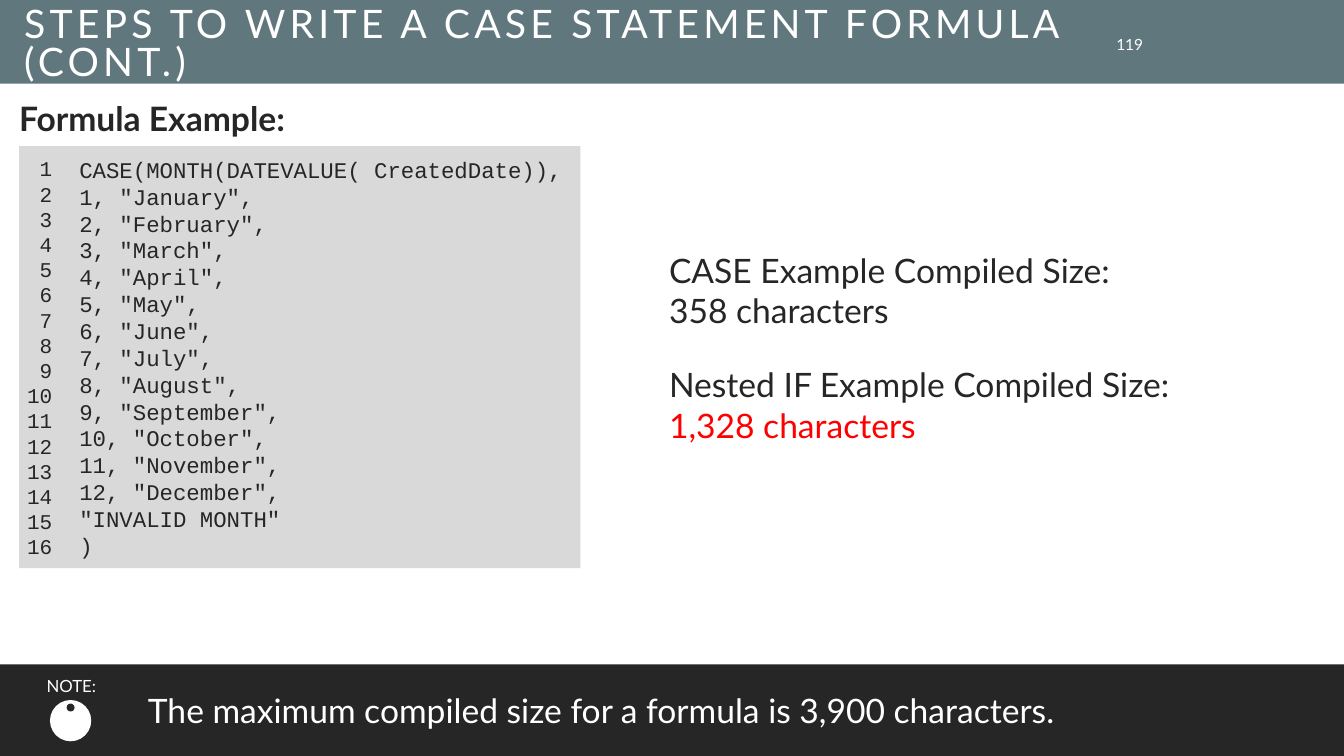
import dataclasses

import pptx
import pptx.dml.color
import pptx.enum.shapes
import pptx.enum.text
import pptx.oxml.ns
import pptx.util
from lxml import etree

Cm = pptx.util.Cm
Pt = pptx.util.Pt
Align = pptx.enum.text.PP_ALIGN
Anchor = pptx.enum.text.MSO_ANCHOR
Preset = pptx.enum.shapes.MSO_SHAPE

COLOURS = {
    "slate": "60777E",
    "ink": "262626",
    "code": "D9D9D9",
    "white": "FFFFFF",
    "red": "FF0000",
}
SLIDE_WIDTH, SLIDE_HEIGHT = 33.87, 19.05
CODE_TOP, CODE_HEIGHT = 3.68, 10.64

MONTHS = ["January", "February", "March", "April", "May", "June", "July",
          "August", "September", "October", "November", "December"]
CODE_LINES = [
    "CASE(MONTH(DATEVALUE( CreatedDate)),",
    *[f'{number}, "{month}",' for number, month in enumerate(MONTHS, 1)],
    '"INVALID MONTH"',
    ")",
]
LINE_NUMBERS = [str(number) for number in range(1, 17)]
SIZES = ["CASE Example Compiled Size:\v358 characters",
         "Nested IF Example Compiled Size:\v1,328 characters"]
INFO_STEM = [(1.63, 17.96), (1.85, 17.96), (1.85, 18.34), (1.93, 18.34), (1.93, 18.49),
             (1.63, 18.49), (1.63, 18.34), (1.7, 18.34), (1.7, 18.08), (1.63, 18.08)]


@dataclasses.dataclass(frozen=True)
class Box:
    """Position and size in centimetres."""
    left: float
    top: float
    width: float
    height: float

    def lengths(self) -> tuple:
        return Cm(self.left), Cm(self.top), Cm(self.width), Cm(self.height)


@dataclasses.dataclass(frozen=True)
class Panel:
    preset: Preset
    box: Box
    colour: str


HEADER = Panel(Preset.RECTANGLE, Box(0, 0, SLIDE_WIDTH, 2.11), "slate")
CODE = Panel(Preset.RECTANGLE, Box(0.48, CODE_TOP, 14.15, CODE_HEIGHT), "code")
NOTE = Panel(Preset.RECTANGLE, Box(0, 16.74, SLIDE_WIDTH, 2.31), "ink")
INFO_DISC = Panel(Preset.OVAL, Box(1.26, 17.64, 1.04, 1.04), "white")
INFO_DOT = Panel(Preset.OVAL, Box(1.68, 17.73, 0.2, 0.2), "ink")


def rgb(name: str) -> pptx.dml.color.RGBColor:
    return pptx.dml.color.RGBColor.from_string(COLOURS[name])


def paint(shape, colour: str) -> None:
    shape.fill.solid()
    shape.fill.fore_color.rgb = rgb(colour)
    shape.line.fill.background()
    shape.shadow.inherit = False


def add_panel(slide, panel: Panel):
    shape = slide.shapes.add_shape(panel.preset, *panel.box.lengths())
    paint(shape, panel.colour)
    return shape


def add_info_stem(slide) -> None:
    builder = slide.shapes.build_freeform(*INFO_STEM[0], scale=Cm(1))
    builder.add_line_segments(INFO_STEM[1:], close=True)
    paint(builder.convert_to_shape(), "ink")


def add_text_box(slide, box: Box):
    return slide.shapes.add_textbox(*box.lengths())


def move(shape, box: Box) -> None:
    shape.left, shape.top, shape.width, shape.height = box.lengths()


def write(shape, paragraphs: list[str], *, size: float, colour: str = "ink",
          font: str = "Lato", bold: bool = False, align: Align = Align.LEFT,
          anchor: Anchor = Anchor.TOP, insets: tuple = (0.25, 0.13, 0.25, 0.13),
          line_spacing: float = 1.0, gap: float = 0, tracking: float = 0) -> None:
    """Fill a shape; insets are left, top, right, bottom in cm, gap is in points."""
    frame = shape.text_frame
    frame.auto_size = pptx.enum.text.MSO_AUTO_SIZE.NONE
    frame.word_wrap = True
    frame.vertical_anchor = anchor
    (frame.margin_left, frame.margin_top,
     frame.margin_right, frame.margin_bottom) = map(Cm, insets)
    for index, text in enumerate(paragraphs):
        paragraph = frame.add_paragraph() if index else frame.paragraphs[0]
        paragraph.text = text
        paragraph.alignment = align
        paragraph.line_spacing = line_spacing
        paragraph.space_before = Pt(gap if index else 0)
        paragraph.space_after = Pt(0)
        for run in paragraph.runs:
            run.font.name = font
            run.font.size = Pt(size)
            run.font.bold = bold
            run.font.color.rgb = rgb(colour)
            if tracking:
                run.font._element.set("spc", str(round(tracking * 100)))


def remove_bullets(shape) -> None:
    for paragraph in shape.text_frame.paragraphs:
        properties = paragraph._p.get_or_add_pPr()
        properties.set("marL", "0")
        properties.set("indent", "0")
        etree.SubElement(properties, pptx.oxml.ns.qn("a:buNone"))


def add_header(slide) -> None:
    header = add_panel(slide, HEADER)
    title = slide.shapes.title
    header._element.getparent().insert(2, header._element)
    move(title, Box(0.36, 0, 27.36, 2.08))
    write(title, ["STEPS TO WRITE A CASE STATEMENT FORMULA (CONT.)"], size=28,
          colour="white", anchor=Anchor.MIDDLE, insets=(0.25, 0.38, 0.25, 0.13),
          line_spacing=0.8, tracking=3)
    write(add_text_box(slide, Box(27.71, 0.84, 1.35, 0.56)), ["119"], size=11,
          colour="white", align=Align.RIGHT, anchor=Anchor.MIDDLE,
          insets=(0.25, 0, 0.25, 0))


def add_formula(slide) -> None:
    write(add_text_box(slide, Box(0.23, 2.34, 13.06, 1.37)), ["Formula Example:"],
          size=24, bold=True)
    write(add_panel(slide, CODE), CODE_LINES, size=16, font="Courier New",
          insets=(1.52, 0.25, 0.25, 0.25))
    write(add_text_box(slide, Box(0.48, CODE_TOP, 1.09, CODE_HEIGHT)), LINE_NUMBERS,
          size=15, font="Courier New", align=Align.RIGHT, insets=(0, 0.25, 0.25, 0.25))


def add_compiled_sizes(slide) -> None:
    body = slide.placeholders[1]
    move(body, Box(16.61, 6.17, 15.57, 5.79))
    write(body, SIZES, size=24, gap=24)
    remove_bullets(body)
    body.text_frame.paragraphs[1].runs[1].font.color.rgb = rgb("red")


def add_note(slide) -> None:
    write(add_panel(slide, NOTE),
          ["The maximum compiled size for a formula is 3,900 characters."], size=24,
          colour="white", anchor=Anchor.MIDDLE, insets=(3.73, 0.13, 1.27, 0.13))
    write(add_text_box(slide, Box(0, 16.89, 3.6, 0.76)), ["NOTE:"], size=12,
          colour="white", align=Align.CENTER)
    for panel in (INFO_DISC, INFO_DOT):
        add_panel(slide, panel)
    add_info_stem(slide)


def main() -> None:
    presentation = pptx.Presentation()
    presentation.slide_width = Cm(SLIDE_WIDTH)
    presentation.slide_height = Cm(SLIDE_HEIGHT)
    slide = presentation.slides.add_slide(presentation.slide_layouts[1])
    add_header(slide)
    add_formula(slide)
    add_compiled_sizes(slide)
    add_note(slide)
    presentation.save("out.pptx")


if __name__ == "__main__":
    main()
